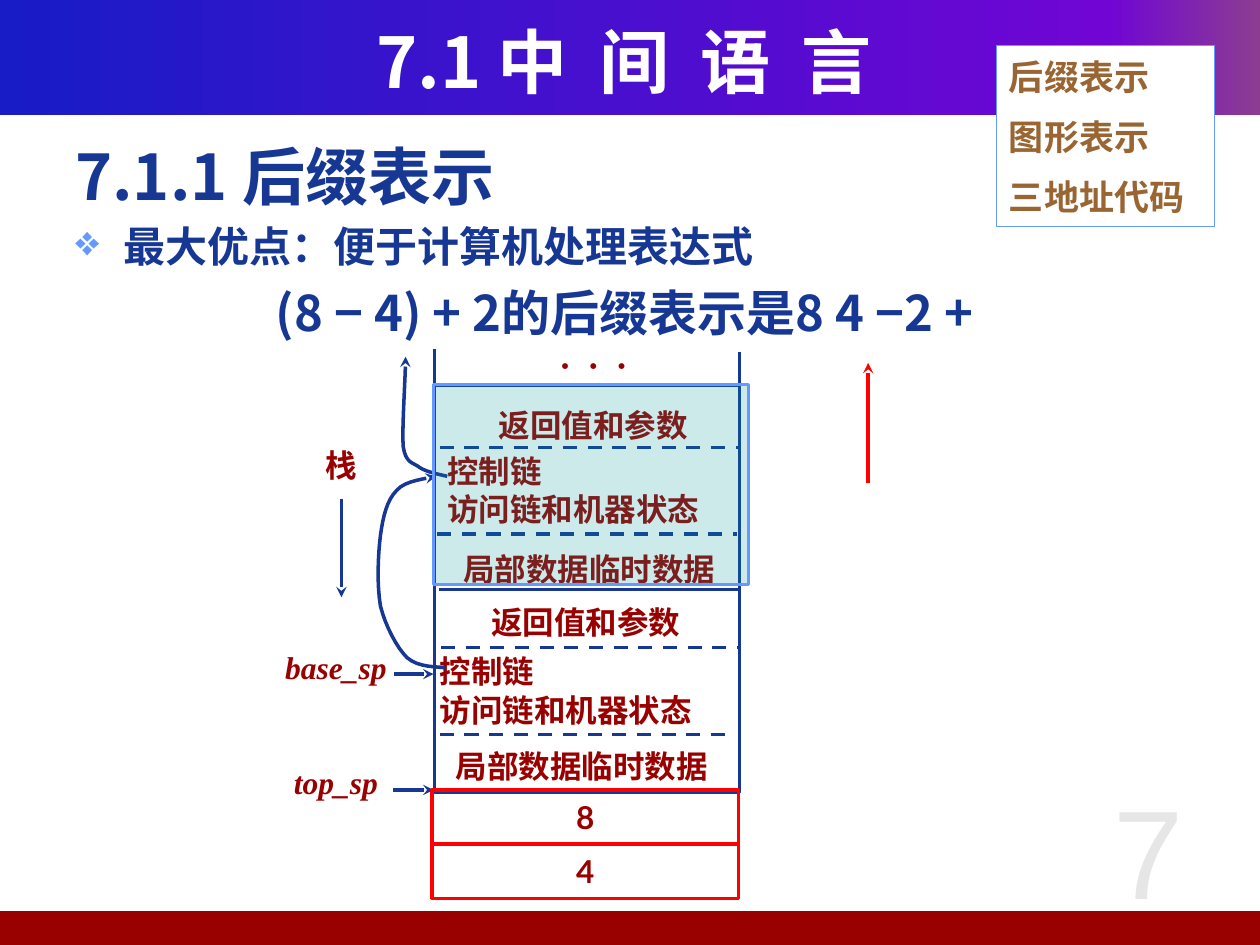
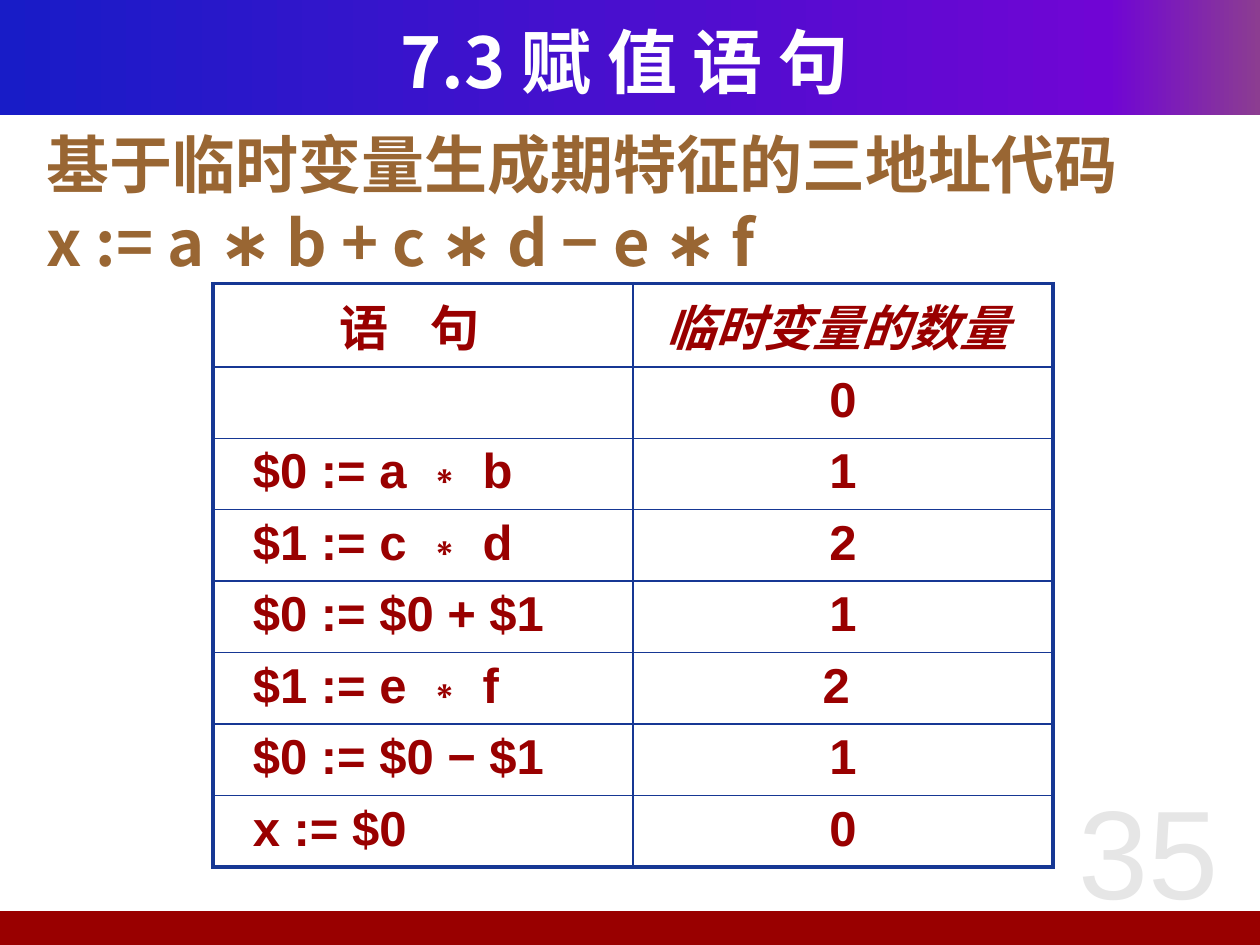
import dataclasses

import lxml.etree
import pptx
import pptx.dml.color
import pptx.enum.dml
import pptx.enum.shapes
import pptx.enum.text
import pptx.oxml.ns
import pptx.util

Pt = pptx.util.Pt
qn = pptx.oxml.ns.qn
ALIGN = pptx.enum.text.PP_ALIGN
ANCHOR = pptx.enum.text.MSO_ANCHOR
SHAPES = pptx.enum.shapes.MSO_SHAPE


# Theme: colours, fonts and type styles
@dataclasses.dataclass(frozen=True)
class Style:
    size: float
    font: str
    color: str
    bold: bool = True
    italic: bool = False
    east: str = "Noto Sans CJK SC"
    line: float = None
    spacing: float = 0


class Theme:
    blue, sky, red, dark_red = "163794", "6699FF", "FF0000", "990000"
    brown, white, teal, grey = "996633", "FFFFFF", "009999", "E6E6E6"
    band = [(0, "181CC7"), (88, "7005D4"), (100, "8C3D91")]
    sans = "Noto Sans CJK SC"
    serif = "Times New Roman"
    title = Style(40, sans, white)
    heading = Style(36, sans, blue, line=41)
    point = Style(24, sans, blue, line=28.5)
    example = Style(28, sans, blue, line=34.5)
    lead = Style(36, sans, brown, line=45)
    agenda = Style(20, "Lato", brown, line=24.5)
    label = Style(18, serif, dark_red, line=22)
    pointer = dataclasses.replace(label, italic=True)
    dots = dataclasses.replace(label, spacing=2.25)
    value = Style(18, "Lato", dark_red)
    number = Style(72, "Arial", grey, bold=False)
    cell = Style(28, "Arial", dark_red, east=None)
    table_head = Style(28, sans, dark_red, spacing=9)
    table_head_italic = Style(28, "Arial", dark_red, italic=True, east=sans)


def rgb(color):
    return pptx.dml.color.RGBColor.from_string(color)


# Text
def add_run(paragraph, text, style):
    run = paragraph.add_run()
    run.text = text
    run.font.size = Pt(style.size)
    run.font.bold, run.font.italic = style.bold, style.italic
    run.font.color.rgb = rgb(style.color)
    run.font.name = style.font
    properties = run._r.get_or_add_rPr()
    if style.spacing:
        properties.set("spc", str(round(style.spacing * 100)))
    if style.east:
        latin = properties.find(qn("a:latin"))
        east = lxml.etree.Element(qn("a:ea"), typeface=style.east)
        latin.addnext(east)


def format_paragraph(paragraph, style, align, before=0, indent=0, bullet=None):
    properties = paragraph._p.get_or_add_pPr()
    if indent:
        properties.set("marL", str(Pt(indent)))
        properties.set("indent", str(-Pt(indent)))
    if bullet:
        color = lxml.etree.SubElement(properties, qn("a:buClr"))
        lxml.etree.SubElement(color, qn("a:srgbClr"), val=Theme.sky)
        lxml.etree.SubElement(properties, qn("a:buChar"), char=bullet)
    paragraph.alignment = align
    paragraph.space_before = Pt(before)
    if style.line:
        paragraph.line_spacing = Pt(style.line)


def fill_frame(frame, lines, style, align=ALIGN.CENTER, before=0, indent=0):
    for index, text in enumerate(lines):
        paragraph = frame.add_paragraph() if index else frame.paragraphs[0]
        format_paragraph(paragraph, style, align, before if index else 0, indent)
        add_run(paragraph, text, style)


def add_text(slide, box, lines, style, align=ALIGN.CENTER, anchor=ANCHOR.TOP,
             insets=(7.2, 3.6, 7.2, 3.6), wrap=True, indent=0):
    shape = slide.shapes.add_textbox(*map(Pt, box))
    frame = shape.text_frame
    frame.word_wrap = wrap
    frame.vertical_anchor = anchor
    (frame.margin_left, frame.margin_top,
     frame.margin_right, frame.margin_bottom) = map(Pt, insets)
    fill_frame(frame, lines, style, align, indent=indent)
    return frame


def add_label(slide, box, lines, style=Theme.label, align=ALIGN.CENTER):
    add_text(slide, box, lines, style, align, insets=(4.3, 6.5, 4.3, 3.6))


# Shapes and lines
def add_box(slide, box, fill=None, line=None, width=2, alpha=None):
    shape = slide.shapes.add_shape(SHAPES.RECTANGLE, *map(Pt, box))
    shape.shadow.inherit = False
    if fill:
        shape.fill.solid()
        shape.fill.fore_color.rgb = rgb(fill)
        if alpha:
            color = shape._element.spPr.find(qn("a:solidFill"))[0]
            lxml.etree.SubElement(color, qn("a:alpha"), val=str(alpha * 1000))
    else:
        shape.fill.background()
    if line:
        shape.line.color.rgb = rgb(line)
        shape.line.width = Pt(width)
    else:
        shape.line.fill.background()
    frame = shape.text_frame
    frame.word_wrap = True
    frame.vertical_anchor = ANCHOR.MIDDLE
    return shape


def add_arrowhead(shape):
    outline = shape.line._get_or_add_ln()
    lxml.etree.SubElement(outline, qn("a:tailEnd"), type="stealth")


def add_line(slide, start, end, color=Theme.blue, dashed=False, arrow=False):
    line = slide.shapes.add_connector(
        pptx.enum.shapes.MSO_CONNECTOR.STRAIGHT, *map(Pt, start + end))
    line.line.color.rgb = rgb(color)
    line.line.width = Pt(2)
    if dashed:
        line.line.dash_style = pptx.enum.dml.MSO_LINE.DASH
    if arrow:
        add_arrowhead(line)
    lxml.etree.SubElement(line._element.spPr, qn("a:effectLst"))


def add_curve(slide, start, curves, steps=8):
    """Arrow through cubic curves, each given as two handles and an end."""
    points, current = [], start
    for first, second, end in curves:
        for step in range(1, steps + 1):
            t = step / steps
            u = 1 - t
            points.append(tuple(
                Pt(u**3 * a + 3 * u * u * t * b + 3 * u * t * t * c + t**3 * d)
                for a, b, c, d in zip(current, first, second, end)))
        current = end
    builder = slide.shapes.build_freeform(*map(Pt, start))
    builder.add_line_segments(points, close=False)
    shape = builder.convert_to_shape()
    shape.shadow.inherit = False
    shape.fill.background()
    shape.line.color.rgb = rgb(Theme.blue)
    shape.line.width = Pt(2)
    add_arrowhead(shape)


# Parts that every slide shares
def add_slide(presentation, number, title_runs):
    slide = presentation.slides.add_slide(presentation.slide_layouts[6])
    band = add_box(slide, (0, 0, 720, 65.5))
    band.fill.gradient()
    band.fill.gradient_angle = 0
    stops = band._element.spPr.find(qn("a:gradFill")).find(qn("a:gsLst"))
    for stop in list(stops):
        stops.remove(stop)
    for position, color in Theme.band:
        stop = lxml.etree.SubElement(stops, qn("a:gs"), pos=str(position * 1000))
        lxml.etree.SubElement(stop, qn("a:srgbClr"), val=color)
    add_box(slide, (-2.9, 520.6, 722.9, 19.4), Theme.dark_red)
    frame = add_text(slide, (23.8, 12.2, 666, 44.6), [], Theme.title,
                     anchor=ANCHOR.MIDDLE)
    paragraph = frame.paragraphs[0]
    paragraph.alignment = ALIGN.CENTER
    for text, spacing in title_runs:
        add_run(paragraph, text, dataclasses.replace(Theme.title, spacing=spacing))
    add_text(slide, (592.6, 434.2, 127.4, 102.2), [number], Theme.number,
             anchor=ANCHOR.MIDDLE)
    return slide


# Slide 1: run-time stack
def add_record(slide, left, tops, dashes):
    """One activation record: three labels parted by dashed lines."""
    value_top, link_top, data_top = tops
    add_label(slide, (left + 15.1, value_top, 145.4, 31.7), ["返回值和参数"])
    add_label(slide, (left, link_top, 175.7, 51.8),
              ["控制链", "访问链和机器状态"], align=ALIGN.JUSTIFY)
    add_label(slide, (left - 2, data_top, 175, 31.7), ["局部数据临时数据"])
    for start, end, y in dashes:
        add_line(slide, (start, y), (end, y), dashed=True)


def add_stack(slide):
    left, right = 248.4, 422.6
    add_box(slide, (left, 220.3, right - left, 232.6), line=Theme.blue)
    add_line(slide, (250.6, 337), (right, 337))
    for x, top in ((left, 199.4), (right, 200.9)):
        add_line(slide, (x, top), (x, 220.7))
    add_label(slide, (266.4, 190.8, 145.4, 26.6), ["⋅ ⋅ ⋅"], Theme.dots)
    add_record(slide, 251.3, (225.4, 251.3, 307.4),
               [(251.3, 423.4, 255.6), (249.8, 421.2, 305.3)])
    add_record(slide, 247, (337.7, 365.8, 419.8),
               [(252, 421.9, 370.1), (251.3, 419, 419.8)])

    # Pointers into the stack
    for name, label_left, label_top, start, y in (
            ("top_sp ", 156.2, 429.1, 224.6, 451.4),
            ("base_sp ", 156.2, 363.6, 225.4, 385.2)):
        add_label(slide, (label_left, label_top, 76, 31.7), [name], Theme.pointer)
        add_line(slide, (start, y), (left - 0.7, y), arrow=True)

    # Control links
    add_curve(slide, (254.2, 381.6), [
        ((250.6, 380.9), (239, 381.6), (232.6, 375.8)),
        ((226.8, 370.1), (220.3, 357.8), (217.4, 346.3)),
        ((215.3, 334.1), (216, 316.8), (217.4, 306)),
        ((218.9, 295.2), (221, 285.8), (226.8, 280.1)),
        ((231.8, 274.3), (244.1, 273.6), (249.1, 272.2))])
    add_curve(slide, (255.6, 272.2), [
        ((252.7, 271.4), (244.1, 270), (239.8, 267.1)),
        ((236.2, 264.2), (231.8, 265), (230.4, 254.9)),
        ((229.7, 244.1), (231.8, 214.6), (231.8, 203.8))])

    # Direction of growth and the upper record's highlight
    add_text(slide, (173.5, 246.2, 43.2, 38.9), ["栈"], Theme.label,
             anchor=ANCHOR.MIDDLE, wrap=False)
    add_line(slide, (195.1, 285.1), (195.1, 341.3), arrow=True)
    add_box(slide, (247.7, 219.6, 180, 114.5), Theme.teal, Theme.sky, alpha=20)


def build_postfix_slide(presentation):
    slide = add_slide(presentation, "7", [("7.1 ", 0), ("中 间 语 言", 4.5)])
    frame = add_text(slide, (36, 77, 648, 413.3), ["7.1.1 后缀表示"],
                     Theme.heading, ALIGN.LEFT, indent=27.4)
    for text, style, align, bullet in (
            ("最大优点：便于计算机处理表达式", Theme.point, ALIGN.LEFT, "❖"),
            ("(8 − 4) + 2的后缀表示是8 4 −2 + ", Theme.example, ALIGN.CENTER, None)):
        paragraph = frame.add_paragraph()
        format_paragraph(paragraph, style, align, style.size / 5, 27.4, bullet)
        add_run(paragraph, text, style)

    agenda = add_box(slide, (569.5, 25.9, 124.6, 103.7), Theme.white, Theme.sky, 0.75)
    fill_frame(agenda.text_frame, ["后缀表示", "图形表示", "三地址代码"],
               Theme.agenda, ALIGN.LEFT, before=10)
    add_stack(slide)

    # Operands pushed while reading the expression
    for index, operand in enumerate(("8", "4")):
        cell = add_box(slide, (247, 451.4 + 31 * index, 175, 31), line=Theme.red)
        fill_frame(cell.text_frame, [operand], Theme.value)
    add_line(slide, (496.1, 275.8), (496.1, 207.4), Theme.red, arrow=True)


# Slide 2: temporaries in use after each statement
def set_borders(cell, widths):
    properties = cell._tc.get_or_add_tcPr()
    for index, (side, width) in enumerate(zip("LRTB", widths)):
        border = lxml.etree.Element(qn("a:ln" + side), w=str(Pt(width)))
        fill = lxml.etree.SubElement(border, qn("a:solidFill"))
        lxml.etree.SubElement(fill, qn("a:srgbClr"), val=Theme.blue)
        properties.insert(index, border)


def add_statement_table(slide, rows):
    head_height, row_height = 47.6, 40.8
    last = len(rows) - 1
    table = slide.shapes.add_table(
        len(rows), 2, Pt(121.7), Pt(162), Pt(480),
        Pt(head_height + last * row_height)).table
    table.first_row = table.horz_banding = False
    for y, values in enumerate(rows):
        table.rows[y].height = Pt(row_height if y else head_height)
        for x, text in enumerate(values):
            cell = table.cell(y, x)
            cell.fill.background()
            style, align = Theme.cell, ALIGN.CENTER
            if y == 0:
                style = Theme.table_head_italic if x else Theme.table_head
            elif x == 0:
                align = ALIGN.LEFT
                cell.margin_left = Pt(22.8)
            fill_frame(cell.text_frame, [text], style, align)
            outer = (x == 0, x == 1, y == 0, y == last)
            set_borders(cell, [2.25 if edge else 1 for edge in outer])


def build_assignment_slide(presentation):
    slide = add_slide(presentation, "35", [("7.3 赋 值 语 句", 0)])
    add_text(slide, (19.4, 66.2, 674.6, 90.7),
             ["基于临时变量生成期特征的三地址代码", "x := a ∗ b + c ∗ d − e ∗ f"],
             Theme.lead, ALIGN.JUSTIFY, indent=27.4)
    add_statement_table(slide, [
        ("语 句 ", "临时变量的数量 "),
        ("", "0"),
        ("$0 := a ∗ b", "1"),
        ("$1 := c ∗ d", "2"),
        ("$0 := $0 + $1", "1"),
        ("$1 := e ∗ f", "2 "),
        ("$0 := $0 − $1", "1"),
        ("x := $0", "0"),
    ])


def main():
    presentation = pptx.Presentation()
    presentation.slide_width, presentation.slide_height = Pt(720), Pt(540)
    build_postfix_slide(presentation)
    build_assignment_slide(presentation)
    presentation.save("out.pptx")


if __name__ == "__main__":
    main()
